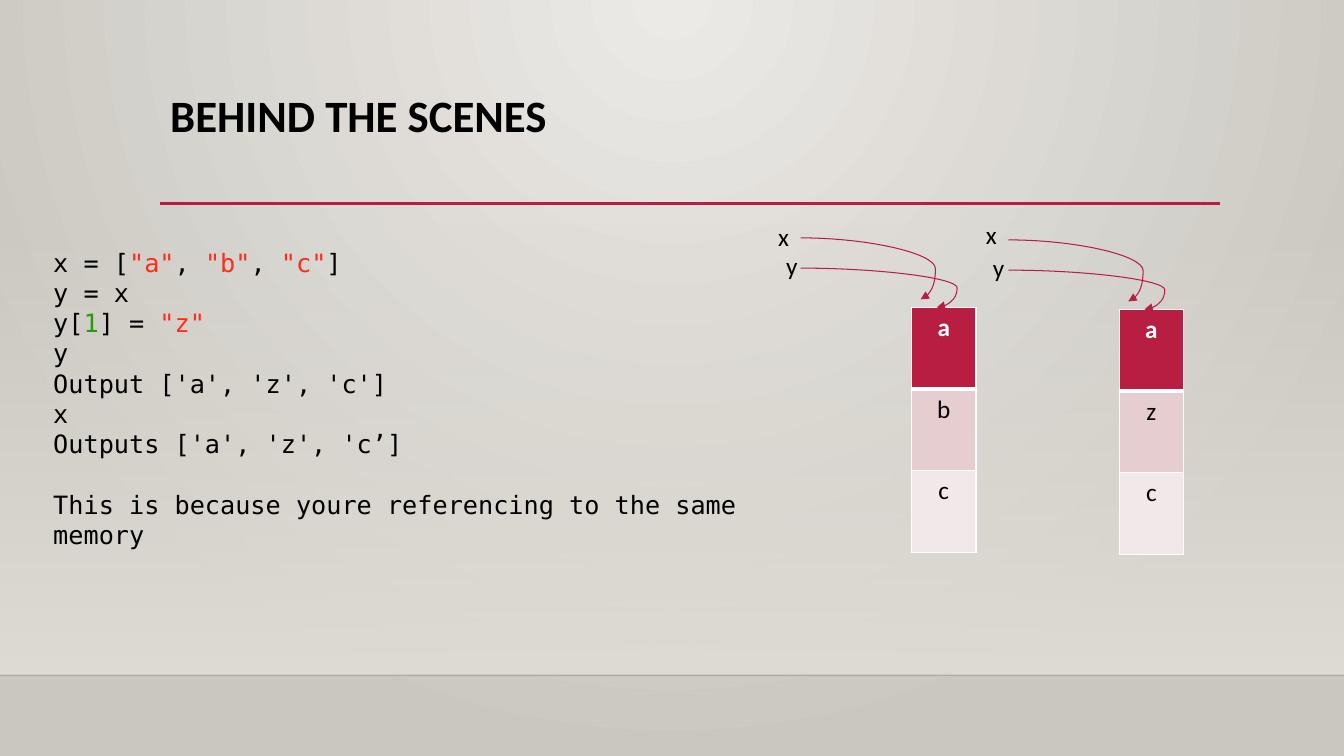
from dataclasses import dataclass
from pptx import Presentation
from pptx.dml.color import RGBColor
from pptx.enum.shapes import MSO_CONNECTOR, MSO_SHAPE
from pptx.enum.text import PP_ALIGN
from pptx.oxml import parse_xml
from pptx.oxml.ns import nsdecls, qn
from pptx.util import Inches, Pt


@dataclass(frozen=True)
class Theme:
    """Colours, fonts and type sizes of the slide."""
    accent: str = "B71E42"
    black: str = "000000"
    white: str = "FFFFFF"
    string: str = "FF2C1B"
    number: str = "2A9A0B"
    band: str = "E6CDCF"
    pale: str = "F3E8E9"
    glow: str = "ECEAE7"
    edge: str = "CAC7C1"
    floor: str = "DFDBD5"
    ledge: str = "000001"
    sans: str = "Calibri"
    mono: str = "DejaVu Sans Mono"
    head: int = 32
    body: int = 18


THEME = Theme()
CODE = [
    [("x = [", "black"), ('"a"', "string"), (", ", "black"), ('"b"', "string"),
     (", ", "black"), ('"c"', "string"), ("]", "black")],
    [("y = x", "black")],
    [("y[", "black"), ("1", "number"), ("] = ", "black"), ('"z"', "string")],
    [("y", "black")],
    [("Output ['a', 'z', 'c']", "black")],
    [("x", "black")],
    [("Outputs ['a', 'z', 'c’]", "black")],
    [("This is because youre referencing to the same memory", "black")],
]


def rgb(code):
    """Turn a hex code into a colour."""
    return RGBColor.from_string(code)


def blend(stops, shade):
    """Build a gradient fill from (position, colour, alpha) stops."""
    marks = "".join(
        f'<a:gs pos="{pos * 1000}"><a:srgbClr val="{code}">'
        f'<a:alpha val="{alpha * 1000}"/></a:srgbClr></a:gs>'
        for pos, code, alpha in stops)
    return parse_xml(f'<a:gradFill {nsdecls("a")} rotWithShape="1">'
                     f'<a:gsLst>{marks}</a:gsLst>{shade}</a:gradFill>')


def add_back(slide):
    """Paint the radial background and the floor fade."""
    fill = slide.background.fill
    fill.solid()
    glow = blend([(0, THEME.glow, 100), (100, THEME.edge, 100)],
                 '<a:path path="circle"><a:fillToRect l="43000" t="0" '
                 'r="43000" b="100000"/></a:path>')
    props = slide.element.find(".//" + qn("p:bgPr"))
    props.replace(props.find(qn("a:solidFill")), glow)
    floor = slide.shapes.add_shape(MSO_SHAPE.RECTANGLE, 0, Inches(2.21),
                                   Inches(13.33), Inches(4.49))
    floor.shadow.inherit = False
    floor.line.fill.background()
    floor.fill.solid()
    fade = blend([(0, THEME.floor, 0), (100, THEME.floor, 100)],
                 '<a:lin ang="5400000" scaled="0"/>')
    props = floor.element.spPr
    props.replace(props.find(qn("a:solidFill")), fade)


def add_line(slide, start, end, color, width, kind=MSO_CONNECTOR.STRAIGHT):
    """Draw a connector without a shadow."""
    line = slide.shapes.add_connector(kind, *map(Inches, start + end))
    line.line.color.rgb = rgb(color)
    line.line.width = Pt(width)
    line.element.spPr.append(parse_xml(f'<a:effectLst {nsdecls("a")}/>'))
    return line


def add_arrow(slide, start, end, bend):
    """Draw a curved arrow that bends past its end."""
    line = add_line(slide, start, end, THEME.accent, 0.75, MSO_CONNECTOR.CURVE)
    props = line.element.spPr
    geom = props.find(qn("a:prstGeom"))
    geom.replace(geom.find(qn("a:avLst")), parse_xml(
        f'<a:avLst {nsdecls("a")}><a:gd name="adj1" '
        f'fmla="val {round(bend * 100000)}"/></a:avLst>'))
    props.find(qn("a:ln")).append(
        parse_xml(f'<a:tailEnd {nsdecls("a")} type="triangle"/>'))


def add_text(slide, box, lines, font, size, wrap=True):
    """Add a text box of paragraphs made of (text, colour name) runs."""
    frame = slide.shapes.add_textbox(*map(Inches, box)).text_frame
    frame.word_wrap = wrap
    for num, parts in enumerate(lines):
        para = frame.add_paragraph() if num else frame.paragraphs[0]
        para.font.name = font
        para.font.size = Pt(size)
        for text, tone in parts:
            run = para.add_run()
            run.text = text
            run.font.color.rgb = rgb(getattr(THEME, tone))
    return frame.paragraphs


def set_edges(cell, base):
    """Give a cell white borders with the given bottom width."""
    props = cell._tc.get_or_add_tcPr()
    sides = [("lnL", 1), ("lnR", 1), ("lnT", 1), ("lnB", base)]
    for num, (side, width) in enumerate(sides):
        props.insert(num, parse_xml(
            f'<a:{side} {nsdecls("a")} w="{Pt(width)}"><a:solidFill>'
            f'<a:srgbClr val="{THEME.white}"/></a:solidFill></a:{side}>'))


def add_list(slide, left, top, items):
    """Draw list items as a one-column table of memory cells."""
    count = len(items)
    table = slide.shapes.add_table(count, 1, *map(
        Inches, (left, top, 0.64, 0.81 * count))).table
    table.horz_banding = False
    fills = [THEME.accent, THEME.band, THEME.pale]
    for num, (item, fill) in enumerate(zip(items, fills)):
        cell = table.cell(num, 0)
        cell.text = item
        cell.fill.solid()
        cell.fill.fore_color.rgb = rgb(fill)
        set_edges(cell, 1 if num else 3)
        para = cell.text_frame.paragraphs[0]
        para.alignment = PP_ALIGN.CENTER
        para.font.name = THEME.sans
        para.font.size = Pt(THEME.body)
        para.font.bold = num == 0
        para.font.color.rgb = rgb(THEME.black if num else THEME.white)


def add_state(slide, left, top, items, names):
    """Draw a list with the two names that point at it."""
    add_list(slide, left, top, items)
    tail = left - 1.1
    add_arrow(slide, (tail, top - 0.69), (left + 0.09, top - 0.08), 1.124)
    add_arrow(slide, (tail, top - 0.39), (left + 0.25, top), 1.15)
    for name, x, y in names:
        add_text(slide, (x, y, 0.33, 0.4), [[(name, "black")]],
                 THEME.sans, THEME.body, False)


def main():
    """Build and save the slide."""
    deck = Presentation()
    deck.slide_width = Inches(13.33)
    deck.slide_height = Inches(7.5)
    slide = deck.slides.add_slide(deck.slide_layouts[6])
    add_back(slide)
    ledge = add_line(slide, (0, 6.7), (13.33, 6.7), THEME.ledge, 1)
    ledge.element.find(".//" + qn("a:srgbClr")).append(
        parse_xml(f'<a:alpha {nsdecls("a")} val="20000"/>'))
    add_line(slide, (1.59, 2.02), (12.1, 2.02), THEME.accent, 2.5)
    title = add_text(slide, (1.59, 0.88, 10.5, 1.15),
                     [[("BEHIND THE SCENES", "black")]],
                     THEME.sans, THEME.head)[0]
    title.font.bold = True
    title.line_spacing = 0.9
    code = add_text(slide, (0.43, 2.4, 7.13, 2.83), CODE,
                    THEME.mono, THEME.body)
    code[-1].space_before = Pt(22)
    add_state(slide, 9.04, 3.05, "abc", [("x", 7.62, 2.15), ("y", 7.7, 2.43)])
    add_state(slide, 11.1, 3.07, "azc", [("x", 9.68, 2.13), ("y", 9.75, 2.45)])
    deck.save("out.pptx")


main()
